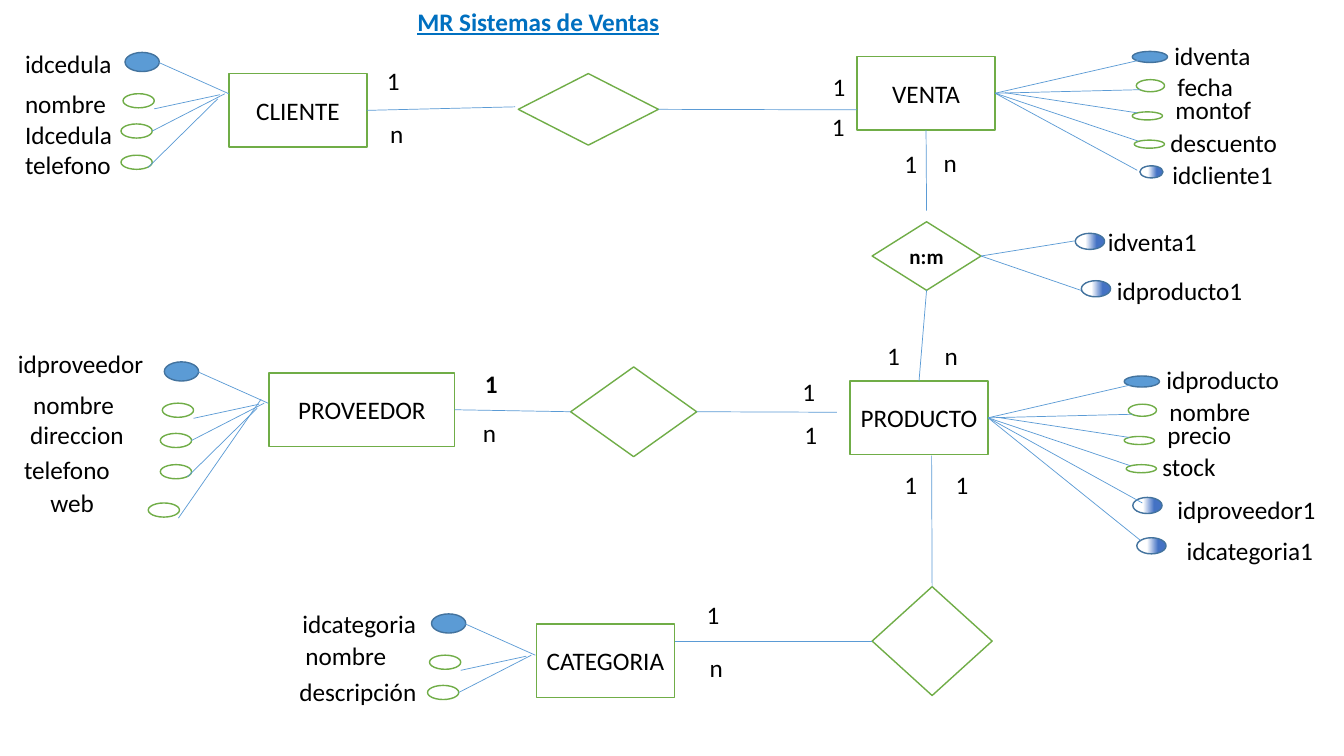
import pptx
import pptx.util
import pptx.dml.color
import pptx.enum.shapes
import pptx.enum.text
import pptx.oxml.ns
import lxml.etree

# Grid: 133.3 columns by 75 rows of square cells
CELL = pptx.util.Inches(0.1)
COLS, ROWS = 133.3, 75
KIND = pptx.enum.shapes.MSO_SHAPE
FONT = "Calibri"
BLACK, WHITE, GREEN = "000000", "FFFFFF", "70AD47"
BLUE, NAVY, DEEP, TITLE = "5B9BD5", "43739E", "4472C4", "0070C0"
TOP, LEFT, BOTTOM, RIGHT = range(4)


def grid(*cells):
    return [round(n * CELL) for n in cells]


def color(code):
    return pptx.dml.color.RGBColor.from_string(code)


def style(para, size=18, tint=BLACK, bold=False, under=False):
    for run in para.runs:
        font = run.font
        font.name, font.size = FONT, pptx.util.Pt(size)
        font.bold, font.underline = bold, under
        font.color.rgb = color(tint)


def shape(slide, kind, box, fill=WHITE, edge=GREEN):
    item = slide.shapes.add_shape(kind, *grid(*box))
    item.shadow.inherit = False
    item.fill.solid()
    item.fill.fore_color.rgb = color(fill)
    item.line.color.rgb = color(edge)
    item.line.width = pptx.util.Pt(1)
    return item


def node(slide, kind, box, text="", **look):
    item = shape(slide, kind, box)
    if text:
        frame = item.text_frame
        frame.margin_left = frame.margin_right = 0
        frame.vertical_anchor = pptx.enum.text.MSO_ANCHOR.MIDDLE
        frame.text = text
        para = frame.paragraphs[0]
        para.alignment = pptx.enum.text.PP_ALIGN.CENTER
        style(para, **look)
    return item


def label(slide, text, x, y, wide=16.2, **look):
    item = slide.shapes.add_textbox(*grid(x, y, wide, 4))
    frame = item.text_frame
    frame.word_wrap = True
    frame.auto_size = pptx.enum.text.MSO_AUTO_SIZE.SHAPE_TO_FIT_TEXT
    frame.text = text
    style(frame.paragraphs[0], **look)


def link(slide, start, end):
    """Each end is a grid point or a (shape, side) pair."""
    ends = [(p, isinstance(p[0], (int, float))) for p in (start, end)]
    spots = [n for p, free in ends for n in (grid(*p) if free else (0, 0))]
    line = slide.shapes.add_connector(
        pptx.enum.shapes.MSO_CONNECTOR.STRAIGHT, *spots)
    for (p, free), join in zip(ends, (line.begin_connect, line.end_connect)):
        if not free:
            join(*p)
    line.line.color.rgb = color(BLUE)
    line.line.width = pptx.util.Pt(0.5)
    props = line._element.spPr
    lxml.etree.SubElement(props, pptx.oxml.ns.qn("a:effectLst"))


def foreign(slide, x, y, wide=1.6, tall=2.9):
    """Foreign key: an upright oval turned on its side, blue to the right."""
    item = shape(slide, KIND.OVAL, (x, y, wide, tall), edge=NAVY)
    item.rotation = 90
    item.fill.gradient()
    item.fill.gradient_angle = 270
    for stop, spot, tint in zip(item.fill.gradient_stops,
                                (0.27, 0.65), (DEEP, WHITE)):
        stop.position = spot
        stop.color.rgb = color(tint)


# Fans of attributes, measured from the key oval's corner
WEST_OVALS = [(-0.2, 4.1), (-0.4, 7.1), (-0.4, 10.2), (-1.6, 14)]
WEST_LINES = [((3.35, 1), (10.3, 4.1)), ((2.9, 5.6), (9.4, 4.2)),
              ((2.7, 7.8), (9.9, 4.1)), ((2.3, 11.4), (9.2, 4.6)),
              ((1.4, 15.5), (9.6, 3.7))]
EAST_OVALS = [(0.4, 2.8, 2.8, 1.2), (0, 6, 3, 0.8), (0.2, 8.8, 3, 0.8)]
EAST_ENDS = [(0.6, 0.9), (0.8, 3.8), (0.5, 6.1), (0.6, 8.9)]
EAST_TEXT = [(3.2, -1.6), (3.5, 1.5), (3.3, 3.8), (2.8, 7)]


def west(slide, x, y, names):
    shape(slide, KIND.OVAL, (x, y, 3.4, 1.9), BLUE, NAVY)
    for dx, dy in WEST_OVALS[:len(names) - 1]:
        shape(slide, KIND.OVAL, (x + dx, y + dy, 3.1, 1.4))
    for (ax, ay), (bx, by) in WEST_LINES[:len(names)]:
        link(slide, (x + ax, y + ay), (x + bx, y + by))
    for name in names:
        label(slide, *name)


def east(slide, x, y, owner, names):
    shape(slide, KIND.OVAL, (x, y, 3.5, 1.1), BLUE, NAVY)
    for dx, dy, wide, tall in EAST_OVALS:
        shape(slide, KIND.OVAL, (x + dx, y + dy, wide, tall))
    for row, (dx, dy) in enumerate(EAST_ENDS):
        start = (x - 12.6, y + 4.1) if row == 2 else (owner, RIGHT)
        link(slide, start, (x + dx, y + dy))
    for name, (dx, dy) in zip(names, EAST_TEXT):
        label(slide, name, x + dx, y + dy)


def main():
    deck = pptx.Presentation()
    deck.slide_width, deck.slide_height = grid(COLS, ROWS)
    slide = deck.slides.add_slide(deck.slide_layouts[6])
    label(slide, "MR Sistemas de Ventas", 40.4, 0.1, 31.8,
          tint=TITLE, bold=True, under=True)

    # Entities
    client, sale, vendor, item, group = [
        node(slide, KIND.RECTANGLE, (x, y, wide, 7.3), text)
        for text, x, y, wide in [
            ("CLIENTE", 22.7, 7.3, 13.7), ("VENTA", 85, 5.6, 13.7),
            ("PROVEEDOR", 26.7, 37, 18.4), ("PRODUCTO", 84.3, 37.8, 13.7),
            ("CATEGORIA", 53.2, 61.9, 13.7)]]

    # Relations
    buys, holds, gives, sorts = [
        node(slide, KIND.FLOWCHART_DECISION, box, text, size=15, bold=True)
        for box, text in [
            ((51.4, 7.3, 13.9, 7.1), ""), ((86.5, 22, 10.8, 6.8), "n:m"),
            ((56.6, 36.4, 12.5, 8.9), ""), ((86.5, 58.2, 11.9, 10.8), "")]]
    for start, end in [
            ((client, RIGHT), (51.1, 10.6)), ((buys, RIGHT), (85, 10.9)),
            ((sale, BOTTOM), (91.9, 20.9)), ((holds, BOTTOM), (item, TOP)),
            ((gives, LEFT), (vendor, RIGHT)), ((gives, RIGHT), (83, 40.9)),
            ((sorts, TOP), (92.4, 45.2)), ((sorts, LEFT), (66.9, 63.6))]:
        link(slide, start, end)

    # Attributes
    west(slide, 12.4, 5.2, [
        ("idcedula", 1.5, 4.3, 11.1), ("nombre", 1.5, 8.3, 17.3),
        ("Idcedula", 1.5, 11.3, 17.3), ("telefono", 1.5, 14.3, 11.1)])
    west(slide, 16.3, 35.9, [
        ("idproveedor", 0.8, 34.1, 14.5), ("nombre", 2.3, 38.1, 17.3),
        ("direccion", 2, 41.1, 17.3), ("telefono", 1.4, 44.6, 11.1),
        ("web", 4, 47.9, 8.2)])
    west(slide, 42.8, 60.9, [
        ("idcategoria", 29, 59.9), ("nombre", 29.3, 63),
        ("descripción", 28.7, 66.6)])
    east(slide, 112.3, 5.1, sale, ["idventa", "fecha", "montof", "descuento"])
    east(slide, 111.5, 37.3, item, ["idproducto", "nombre", "precio", "stock"])

    # Foreign keys: oval, line, label
    for oval, owner, end, name in [
            ((113.6, 15.9, 1.2, 2.3), sale, (112.8, 16.9),
             ("idcliente1", 115.3, 15.3, 13.6)),
            ((107.3, 22.5), holds, (106.6, 23.9),
             ("idventa1", 108.9, 22, 18.7)),
            ((107.9, 27.2), holds, (107.2, 28.8),
             ("idproducto1", 109.8, 26.8, 19.4)),
            ((113, 48.7), item, (113.3, 49.9),
             ("idproveedor1", 115.8, 48.6, 17.4)),
            ((113.4, 52.7), item, (113.1, 53.6),
             ("idcategoria1", 116.7, 52.6, 16.5))]:
        foreign(slide, *oval)
        link(slide, (owner, RIGHT), end)
        label(slide, *name)

    # Cardinalities
    label(slide, "1", 47.1, 36.1, 3.8, bold=True)
    for text, spots in {
            "1": [(78.6, 36.8, 3.3), (78.8, 41.1, 2.8), (37.4, 6, 2.7),
                  (81.6, 6.6, 2.5), (81.6, 10.6, 1.9), (69.1, 59, 2.6),
                  (88.7, 46.1, 3.2), (93.8, 46.1, 3.4), (88.7, 14.2, 2.5),
                  (87, 33.3, 3.7)],
            "n": [(46.9, 40.9, 2.7), (37.7, 11.2, 2.6), (69.4, 64.2, 2.7),
                  (92.6, 14.1, 2.9), (92.7, 33.3, 2.8)]}.items():
        for spot in spots:
            label(slide, text, *spot)

    deck.save("out.pptx")


if __name__ == "__main__":
    main()
